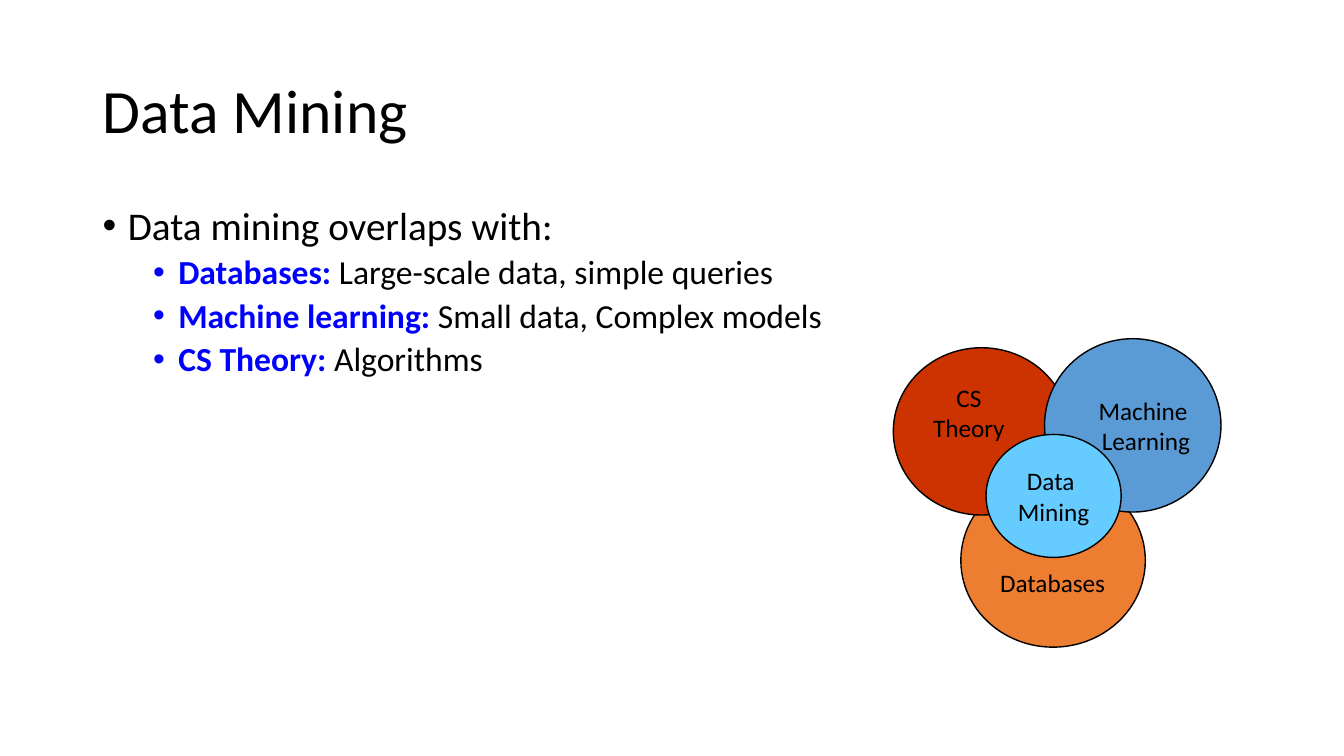
from lxml.etree import SubElement
from pptx import Presentation
from pptx.dml.color import RGBColor
from pptx.enum.shapes import MSO_SHAPE as Shape
from pptx.enum.text import MSO_ANCHOR as Anchor, PP_ALIGN as Align
from pptx.oxml.ns import qn
from pptx.util import Pt

PX = 9144  # 100 px to the inch
FONT = "Calibri"
BLACK = RGBColor(0x00, 0x00, 0x00)
BLUE = RGBColor(0x00, 0x00, 0xFF)
ORANGE = RGBColor(0xED, 0x7D, 0x31)
RED = RGBColor(0xCC, 0x33, 0x00)
STEEL = RGBColor(0x5B, 0x9B, 0xD5)
SKY = RGBColor(0x66, 0xCC, 0xFF)

TITLE = "Data Mining"
TITLE_BOX = (92, 40, 1150, 145)
INTRO = "Data mining overlaps with:"
FIELDS = [
    ("Databases:", " Large-scale data, simple queries"),
    ("Machine learning: ", "Small data, Complex models"),
    ("CS Theory: ", "Algorithms"),
]
BODY_BOX = (92, 200, 787, 476)

# Back to front: box, fill
FIELD_CIRCLES = [
    ((953, 470, 183, 172), ORANGE),
    ((886, 345, 175, 166), RED),
    ((1036, 336, 175, 172), STEEL),
]
# Lines, box, side margin
FIELD_LABELS = [
    (["Machine ", "Learning"], (1054, 387, 165, 71), 0),
    (["CS", "Theory"], (886, 374, 150, 71), 10),
    (["Databases"], (965, 558, 158, 40), 10),
]
CENTRE_LINES = ["Data ", "Mining"]
CENTRE_BOX = (978, 431, 134, 122)


def emu(box):
    return [length * PX for length in box]


def add_run(paragraph, text, size, color=BLACK, bold=False):
    run = paragraph.add_run()
    run.text = text
    font = run.font
    font.name, font.size, font.bold = FONT, Pt(size), bold
    font.color.rgb = color


def add_frame(slide, box):
    frame = slide.shapes.add_textbox(*emu(box)).text_frame
    frame.word_wrap = True
    return frame


def format_bullet(paragraph, level, left, before):
    """Give the paragraph a dot hanging 25 px left of its text."""
    paragraph.level = level
    properties = paragraph._p.get_or_add_pPr()
    properties.set("marL", str(left * PX))
    properties.set("indent", str(-25 * PX))
    SubElement(properties, qn("a:buFont"), typeface="Arial")
    SubElement(properties, qn("a:buChar"), char="•")
    paragraph.line_spacing = 0.9
    paragraph.space_before = Pt(before)


def write_centred(frame, lines):
    paragraph = frame.paragraphs[0]
    paragraph.alignment = Align.CENTER
    for index, line in enumerate(lines):
        if index:
            paragraph.add_line_break()
        add_run(paragraph, line, 18)


def add_circle(slide, box, color):
    circle = slide.shapes.add_shape(Shape.OVAL, *emu(box))
    circle.shadow.inherit = False
    circle.fill.solid()
    circle.fill.fore_color.rgb = color
    circle.line.color.rgb = BLACK
    circle.line.width = Pt(1)
    return circle


def add_overlap_list(slide):
    frame = add_frame(slide, BODY_BOX)
    intro = frame.paragraphs[0]
    format_bullet(intro, level=0, left=25, before=0)
    add_run(intro, INTRO, 28)
    for field, traits in FIELDS:
        entry = frame.add_paragraph()
        format_bullet(entry, level=1, left=75, before=5)
        add_run(entry, field, 24, BLUE, bold=True)
        add_run(entry, traits, 24)


def add_overlap_diagram(slide):
    for box, color in FIELD_CIRCLES:
        add_circle(slide, box, color)
    for lines, box, margin in FIELD_LABELS:
        label = add_frame(slide, box)
        label.margin_left = label.margin_right = margin * PX
        write_centred(label, lines)
    centre = add_circle(slide, CENTRE_BOX, SKY).text_frame
    centre.word_wrap = False
    centre.vertical_anchor = Anchor.MIDDLE
    write_centred(centre, CENTRE_LINES)


def main():
    deck = Presentation()
    deck.slide_width, deck.slide_height = emu((1333, 750))
    slide = deck.slides.add_slide(deck.slide_layouts[6])
    heading = add_frame(slide, TITLE_BOX)
    heading.vertical_anchor = Anchor.MIDDLE
    heading.paragraphs[0].line_spacing = 0.9
    add_run(heading.paragraphs[0], TITLE, 44)
    add_overlap_list(slide)
    add_overlap_diagram(slide)
    deck.save("out.pptx")


if __name__ == "__main__":
    main()
